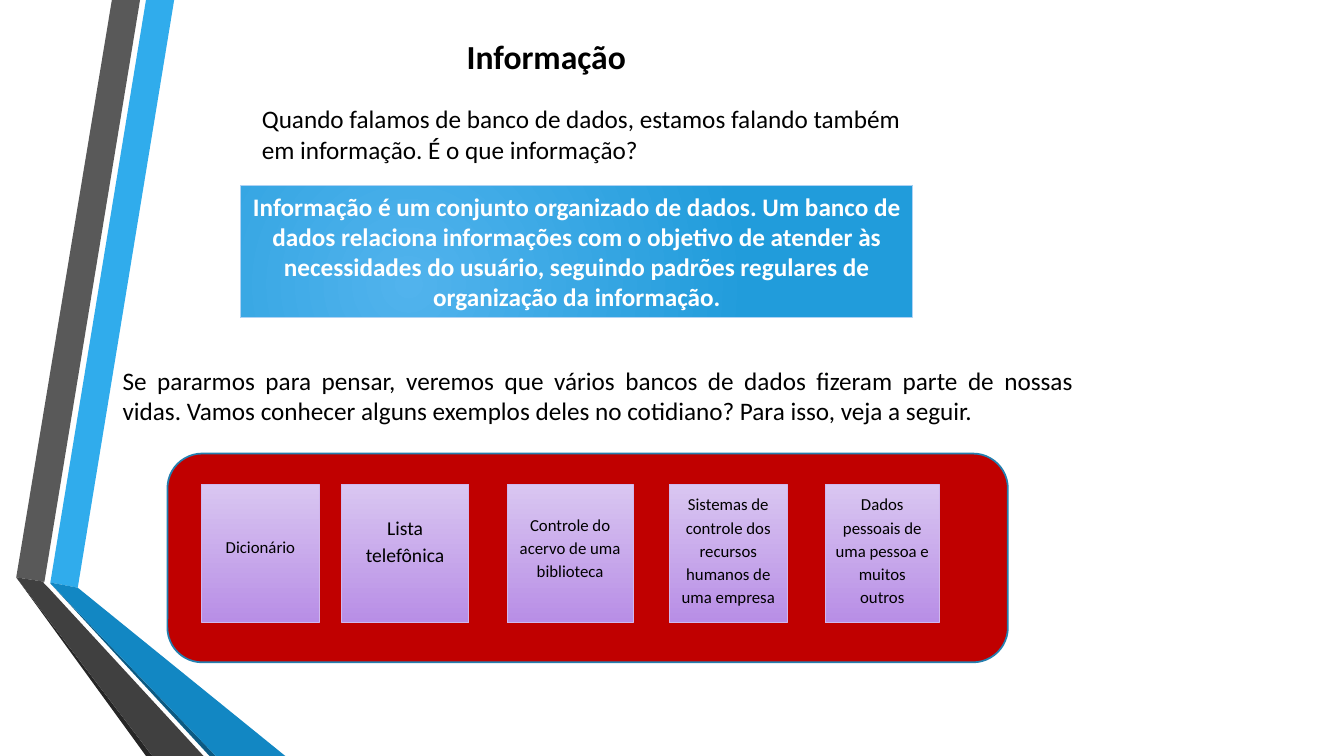
from lxml.etree import SubElement
from pptx import Presentation
from pptx.dml.color import RGBColor
from pptx.enum.shapes import MSO_SHAPE
from pptx.enum.text import MSO_ANCHOR, MSO_AUTO_SIZE, PP_ALIGN
from pptx.oxml.ns import qn
from pptx.util import Cm, Pt

BLACK, WHITE = RGBColor(0, 0, 0), RGBColor(0xFF, 0xFF, 0xFF)
SKY, BLUE, NAVY = RGBColor(0x30, 0xAC, 0xEC), RGBColor(0x12, 0x87, 0xC3), RGBColor(0x0C, 0x5A, 0x82)
GREY, CHARCOAL, SOOT = RGBColor(0x59, 0x59, 0x59), RGBColor(0x40, 0x40, 0x40), RGBColor(0x26, 0x26, 0x26)
BANNER_INNER, BANNER_OUTER = RGBColor(0x51, 0xB3, 0xED), RGBColor(0x21, 0x9C, 0xDB)
BANNER_LINE = RGBColor(0xAE, 0xD2, 0xF4)
RED, PANEL_LINE = RGBColor(0xC0, 0, 0), RGBColor(0x24, 0x7F, 0xAF)
LILAC, VIOLET, CARD_LINE = RGBColor(0xD9, 0xC6, 0xF1), RGBColor(0xB8, 0x8E, 0xE6), RGBColor(0xD0, 0xB8, 0xEE)

# Content: lengths in centimetres
SLIDE_WIDTH, SLIDE_HEIGHT = 33.87, 19.05
RIBBONS = [
    (SKY, [(1.27, 14.68), (1.96, 14.81), (4.39, 0), (3.68, 0)]),
    (GREY, [(3.53, 0), (2.82, 0), (0.41, 14.55), (1.12, 14.66)]),
    (SOOT, [(0.41, 14.55), (3.68, SLIDE_HEIGHT), (3.84, SLIDE_HEIGHT)]),
    (NAVY, [(1.27, 14.7), (5.28, SLIDE_HEIGHT), (5.44, SLIDE_HEIGHT)]),
    (BLUE, [(1.27, 14.7), (5.44, SLIDE_HEIGHT), (7.19, SLIDE_HEIGHT), (1.96, 14.81), (1.27, 14.68)]),
    (CHARCOAL, [(5.13, SLIDE_HEIGHT), (1.22, 14.81), (1.09, 14.68), (1.12, 14.66),
                (0.41, 14.55), (3.84, SLIDE_HEIGHT)]),
]
TITLE = "Informação"
QUESTION = "Quando falamos de banco de dados, estamos falando também em informação. É o que informação?"
DEFINITION = ("Informação é um conjunto organizado de dados. Um banco de dados relaciona informações "
              "com o objetivo de atender às necessidades do usuário, seguindo padrões regulares de "
              "organização da informação.")
INVITATION = ("Se pararmos para pensar, veremos que vários bancos de dados fizeram parte de nossas vidas. "
              "Vamos conhecer alguns exemplos deles no cotidiano? Para isso, veja a seguir.")
CARD_TOP, CARD_HEIGHT = 12.2, 3.5
# left, width, bottom inset, text size, lines
CARDS = [
    (5.08, 2.97, 0.55, 12, ["Dicionário"]),
    (8.61, 3.2, 0.85, 14, ["Lista", "telefônica"]),
    (12.78, 3.18, 0.5, 12, ["Controle do acervo de uma biblioteca"]),
    (16.87, 2.97, 0.35, 12, ["Sistemas de controle dos recursos humanos de uma empresa"]),
    (20.8, 2.87, 0.35, 12, ["Dados pessoais de uma pessoa e muitos outros"]),
]


def write(shape, lines, size, color=BLACK, bold=False, align=PP_ALIGN.LEFT, spacing=None):
    frame = shape.text_frame
    frame.word_wrap = True
    frame.text = "\n".join(lines)
    for paragraph in frame.paragraphs:
        paragraph.alignment = align
        paragraph.line_spacing = spacing
        font = paragraph.font
        font.name, font.size, font.bold = "Calibri", Pt(size), bold
        font.color.rgb = color
    return frame


def add_text(box, text, size, **style):
    frame = write(shapes.add_textbox(*map(Cm, box)), [text], size, **style)
    frame.auto_size = MSO_AUTO_SIZE.SHAPE_TO_FIT_TEXT
    return frame


def add_box(kind, box, line_color, line_width):
    shape = shapes.add_shape(kind, *map(Cm, box))
    shape.shadow.inherit = False
    shape.line.color.rgb = line_color
    shape.line.width = Pt(line_width)
    return shape


def fill_gradient(shape, first, last):
    shape.fill.gradient()
    shape.fill.gradient_angle = 270
    for stop, color, position in zip(shape.fill.gradient_stops, (first, last), (0, 1)):
        stop.color.rgb = color
        stop.position = position


presentation = Presentation()
presentation.slide_width, presentation.slide_height = Cm(SLIDE_WIDTH), Cm(SLIDE_HEIGHT)
slide = presentation.slides.add_slide(presentation.slide_layouts[6])
shapes = slide.shapes

# Ribbons on the left
for color, points in RIBBONS:
    corners = [(Cm(x), Cm(y)) for x, y in points]
    builder = shapes.build_freeform(*corners[0])
    builder.add_line_segments(corners[1:], close=True)
    ribbon = builder.convert_to_shape()
    ribbon.shadow.inherit = False
    ribbon.fill.solid()
    ribbon.fill.fore_color.rgb = color
    ribbon.line.fill.background()

# Title and question
add_text((11.51, 0.79, 4.75, 1.27), TITLE, 24, bold=True).word_wrap = False
add_text((6.35, 2.49, 16.94, 1.8), QUESTION, 18)

# Definition banner with a circular gradient
banner = add_box(MSO_SHAPE.RECTANGLE, (6.07, 4.67, 16.94, 3.33), BANNER_LINE, 0.75)
fill_gradient(banner, BANNER_INNER, BANNER_OUTER)
gradient = banner.fill._xPr.find(qn("a:gradFill"))
gradient.remove(gradient.find(qn("a:lin")))
circle = SubElement(gradient, qn("a:path"), {"path": "circle"})
SubElement(circle, qn("a:fillToRect"), {"l": "50000", "t": "100000", "r": "100000", "b": "50000"})
write(banner, [DEFINITION], 18, color=WHITE, bold=True, align=PP_ALIGN.CENTER)

add_text((2.84, 9.07, 24.46, 1.8), INVITATION, 18, align=PP_ALIGN.JUSTIFY)

# Panel with example cards
panel = add_box(MSO_SHAPE.ROUNDED_RECTANGLE, (4.22, 11.43, 21.18, 5.26), PANEL_LINE, 1.25)
panel.fill.solid()
panel.fill.fore_color.rgb = RED
for left, width, bottom_inset, size, lines in CARDS:
    card = add_box(MSO_SHAPE.RECTANGLE, (left, CARD_TOP, width, CARD_HEIGHT), CARD_LINE, 0.75)
    fill_gradient(card, LILAC, VIOLET)
    frame = write(card, lines, size, align=PP_ALIGN.CENTER, spacing=1.15)
    frame.vertical_anchor = MSO_ANCHOR.MIDDLE
    frame.margin_bottom = Cm(bottom_inset)

presentation.save("out.pptx")
